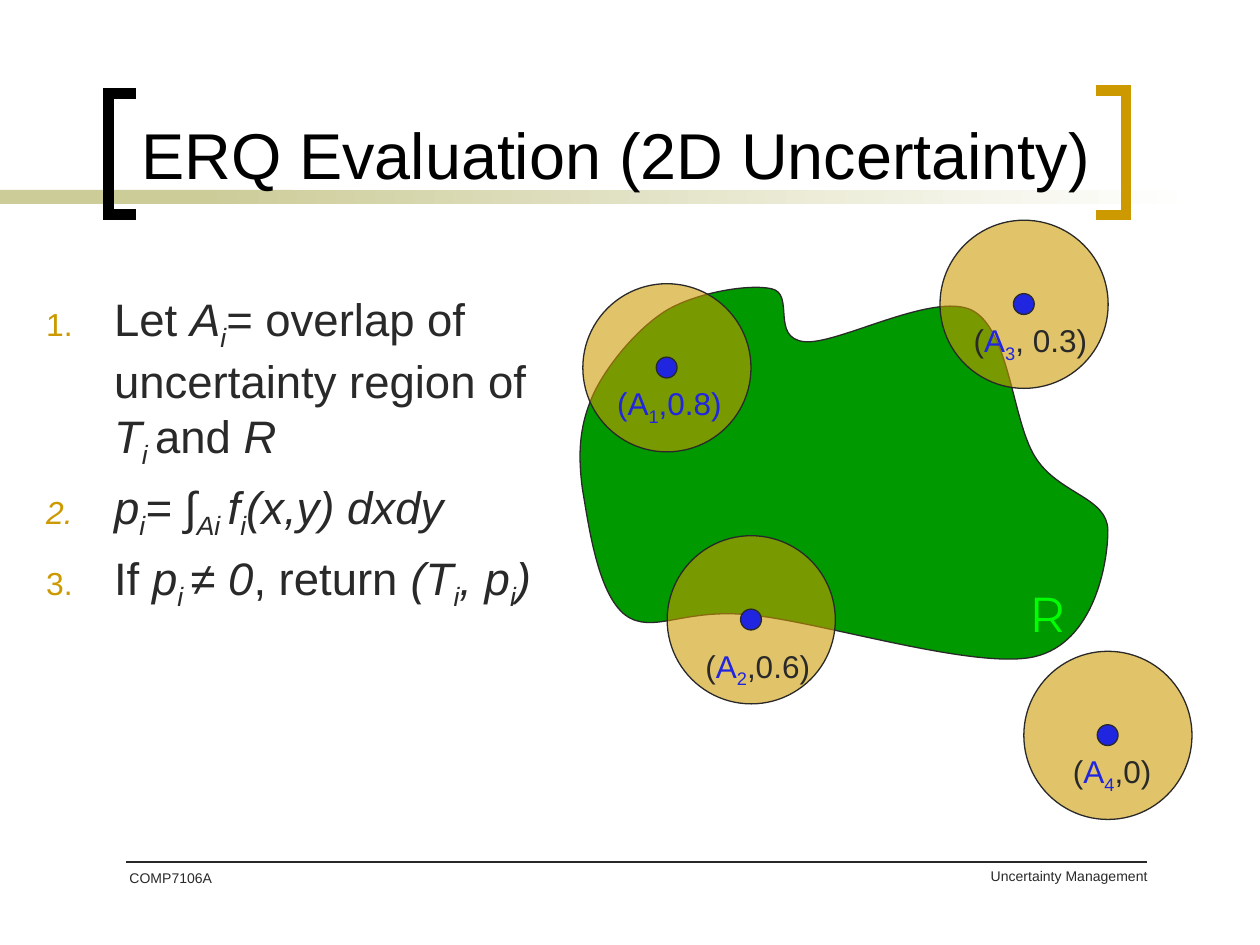
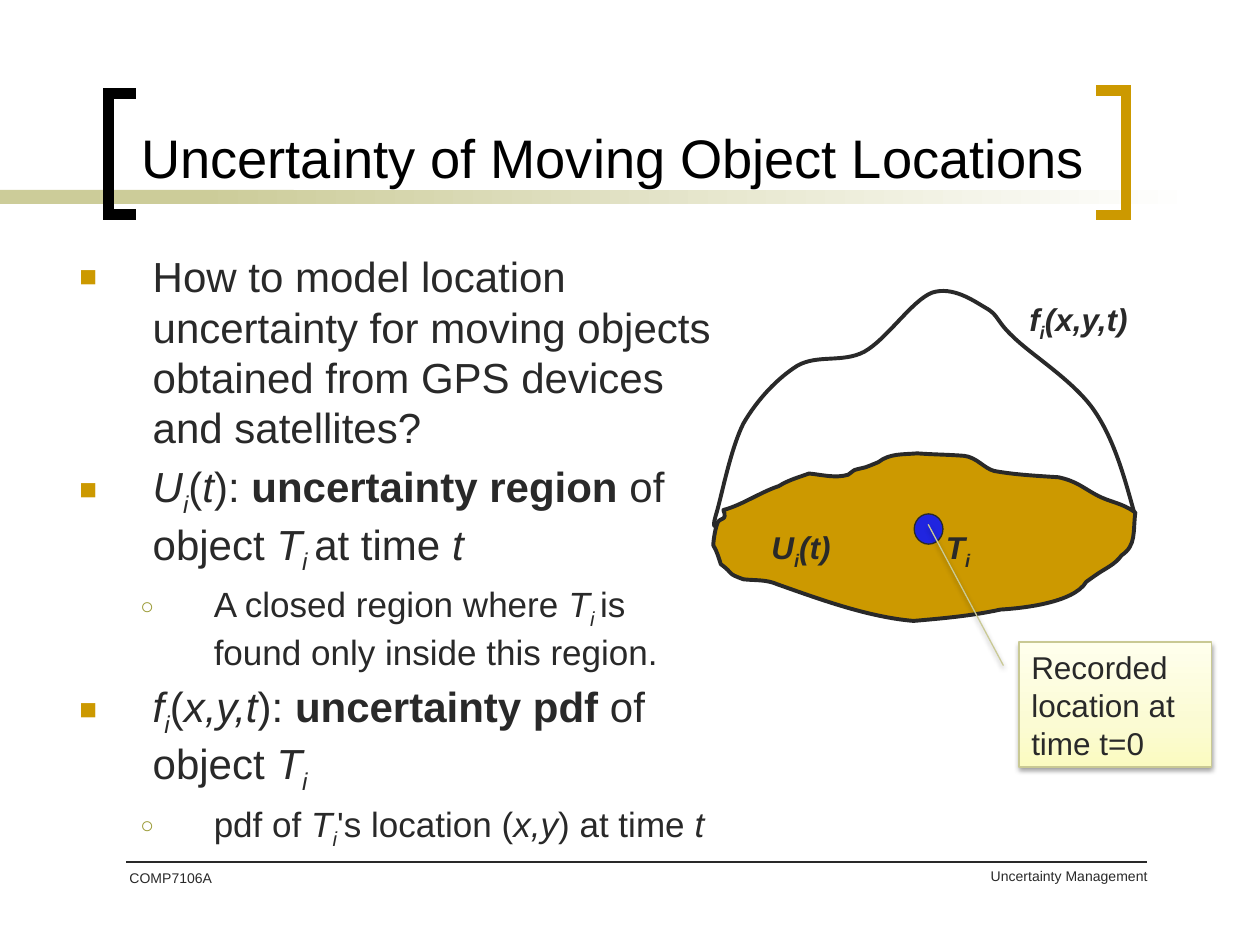
from lxml.etree import SubElement as Sub
from pptx import Presentation
from pptx.dml.color import RGBColor as Rgb
from pptx.enum.shapes import MSO_CONNECTOR as Link, MSO_SHAPE as Kind
from pptx.enum.text import MSO_ANCHOR as Anchor, MSO_AUTO_SIZE as Fit, PP_ALIGN as Align
from pptx.oxml.ns import qn
from pptx.util import Cm, Pt

HUES = {
    "ink": "292929", "black": "000000", "white": "FFFFFF", "gold": "CC9900",
    "sage": "CCCC99", "olive": "999933", "green": "009900", "lime": "00FF00",
    "blue": "2025E0", "rim": "C9C994", "cream": "FBFBC1", "pale": "FBFBD3",
    "ivory": "FFFFED",
}
UNIT = Cm(2.54) / 100
MARKS = {
    "1": ("gold", 70, "buAutoNum", {"type": "arabicPeriod"}),
    "■": ("gold", 70, "buChar", {"char": "■"}),
    "○": ("olive", 65, "buChar", {"char": "○"}),
}
STEPS = [
    ("1", 26, "Let |i~A|is~i|= overlap of uncertainty region of |i~T|is~i |and |i~R"),
    ("1", 26, "i~p|is~i|i~= ∫|is~Ai |i~f|is~i|i~(x,y) dxdy"),
    ("1", 26, "If |i~p|is~i |i~≠ 0|, return |i~(T|is~i|i~, p|is~i|i~)"),
]
POINTS = [
    ("■", 24, "How to model location uncertainty for moving objects obtained from GPS devices and satellites?"),
    ("■", 24, "i~U|is~i|(|i~t|): |b~uncertainty region |of object |i~T|is~i |at time |i~t"),
    ("○", 20, "A closed region where |i~T|is~i |is found only inside this region."),
    ("■", 24, "i~f|is~i|(|i~x,y,t|): |b~uncertainty pdf| of object |i~T|is~i"),
    ("○", 20, "pdf of |i~T|is~i|'s location (|i~x,y|) at time |i~t"),
]
DISCS = [
    (0.11, 0, 0.44, 1.9, 2.67, "u~(A|us~1|u~,0.8)"),
    (1.81, 5.08, 0.52, 2.11, 2.67, "(|u~A|us~2|,0.6)"),
    (7.31, -1.28, 0.43, 1.9, 2.84, "(|u~A|us~3|, 0.3)"),
    (9, 7.41, 0.74, 1.9, 2.13, "(|u~A|us~4|,0)"),
]
RANGE = [
    (13, 87), (24, 64), (48, 35), (71, 21), (95, 7), (136, 0), (154, 4),
    (173, 8), (153, 43), (180, 46), (206, 49), (282, 6), (313, 21),
    (343, 36), (345, 108), (363, 137), (381, 167), (421, 169), (421, 196),
    (421, 222), (410, 285), (363, 296), (316, 307), (192, 268), (138, 263),
    (84, 257), (60, 279), (38, 263), (16, 246), (9, 192), (4, 163),
    (0, 133), (2, 111), (13, 87),
]
BASE = [
    (8, 45), (23, 41), (37, 31), (52, 26), (60, 21), (68, 19), (76, 16),
    (86, 17), (97, 20), (107, 17), (114, 12), (109, 14), (121, 11),
    (124, 10), (131, 7), (131, 7), (140, 0), (150, 1), (162, 0),
    (175, 1), (187, 1), (199, 2), (209, 3), (215, 12), (223, 14),
    (239, 17), (259, 18), (274, 19), (288, 22), (293, 27), (304, 33),
    (315, 39), (324, 39), (335, 47), (333, 62), (336, 73), (324, 81),
    (319, 88), (312, 91), (306, 95), (303, 97), (296, 102), (296, 102),
    (286, 119), (244, 123), (228, 124), (205, 129), (182, 131), (159, 133),
    (123, 130), (85, 116), (51, 104), (42, 100), (33, 101), (24, 100),
    (10, 95), (17, 96), (6, 88), (4, 82), (3, 78), (0, 73),
    (0, 69), (2, 57), (4, 54), (6, 52), (9, 52), (9, 50),
    (10, 48), (8, 47), (8, 45),
]
DOME = [
    (4, 190), (2, 191), (0, 192), (4, 179), (8, 165), (15, 129), (25, 109),
    (36, 90), (52, 73), (68, 63), (84, 54), (104, 61), (121, 52),
    (139, 42), (159, 11), (175, 5), (191, 0), (207, 11), (217, 17),
    (228, 23), (225, 27), (239, 40), (253, 54), (287, 75), (303, 98),
    (319, 121), (327, 150), (335, 179),
]


def tint(hue):
    """Return the named colour."""
    return Rgb.from_string(HUES[hue])


def paint(shape, fill=None, line=None, width=0.75):
    """Set the fill and line of a shape and drop its shadow."""
    shape.shadow.inherit = False
    if fill:
        shape.fill.solid()
        shape.fill.fore_color.rgb = tint(fill)
    else:
        shape.fill.background()
    if line:
        shape.line.color.rgb = tint(line)
        shape.line.width = Pt(width)
    else:
        shape.line.fill.background()


def blend(shape, stops, angle):
    """Fill a shape with a linear gradient."""
    shape.fill.gradient()
    props = shape._element.spPr
    group = props.find(".//" + qn("a:gsLst"))
    group.clear()
    for place, hue in stops:
        stop = Sub(group, qn("a:gs"), pos=str(place * 1000))
        Sub(stop, qn("a:srgbClr"), val=HUES[hue])
    props.find(".//" + qn("a:lin")).set("ang", str(angle * 60000))


def form(slide, kind, x, y, w, h, **look):
    """Add a painted preset shape."""
    shape = slide.shapes.add_shape(kind, Cm(x), Cm(y), Cm(w), Cm(h))
    paint(shape, **look)
    return shape


def write(para, text, size, hue="ink", face="Arial"):
    """Write marked runs: i italic, b bold, s subscript, u blue."""
    para.font.size = Pt(size)
    para.font.name = face
    para.font.color.rgb = tint(hue)
    for part in text.split("|"):
        style, _, words = part.rpartition("~")
        run = para.add_run()
        run.text = words
        if "i" in style:
            run.font.italic = True
        if "b" in style:
            run.font.bold = True
        if "u" in style:
            run.font.color.rgb = tint("blue")
        if "s" in style:
            run._r.get_or_add_rPr().set("baseline", "-25000")


def label(slide, x, y, w, h, text, size, align=Align.LEFT, anchor=Anchor.TOP, **look):
    """Add a text box with one paragraph and return its frame."""
    frame = slide.shapes.add_textbox(Cm(x), Cm(y), Cm(w), Cm(h)).text_frame
    frame.word_wrap = True
    frame.vertical_anchor = anchor
    para = frame.paragraphs[0]
    para.alignment = align
    write(para, text, size, **look)
    return frame


def tag(slide, x, y, w, text):
    """Add a one-line label that grows with its text."""
    frame = label(slide, x, y, w, 1.02, text, 18)
    frame.word_wrap = False
    frame.auto_size = Fit.SHAPE_TO_FIT_TEXT


def listing(slide, x, y, w, h, items, indent, deep=0):
    """Add a text box of marked paragraphs."""
    frame = slide.shapes.add_textbox(Cm(x), Cm(y), Cm(w), Cm(h)).text_frame
    frame.word_wrap = True
    for num, (mark, size, text) in enumerate(items):
        para = frame.add_paragraph() if num else frame.paragraphs[0]
        para.space_before = Pt(size * 0.2)
        hue, scale, kind, attrs = MARKS[mark]
        props = para._p.get_or_add_pPr()
        props.set("marL", str(Cm(deep if mark == "○" else indent)))
        props.set("indent", str(-Cm(indent)))
        Sub(Sub(props, qn("a:buClr")), qn("a:srgbClr"), val=HUES[hue])
        Sub(props, qn("a:buSzPct"), val=str(scale * 1000))
        Sub(props, qn("a:buFont"), typeface="Arial")
        Sub(props, qn(f"a:{kind}"), **attrs)
        write(para, text, size)


def trace(slide, x, y, dots, closed, **look):
    """Draw a polyline through points given in EMU."""
    pen = slide.shapes.build_freeform(*dots[0])
    pen.add_line_segments(dots[1:], close=closed)
    shape = pen.convert_to_shape(Cm(x), Cm(y))
    paint(shape, **look)
    return shape


def curve(slide, x, y, knots, closed=True, **look):
    """Draw cubic curves by joining each three segments into one."""
    dots = [(a * UNIT, b * UNIT) for a, b in knots]
    shape = trace(slide, x, y, dots, closed, **look)
    route = shape._element.spPr.find(".//" + qn("a:path"))
    legs = route.findall(qn("a:lnTo"))
    for k in range(0, len(legs), 3):
        bend = Sub(route, qn("a:cubicBezTo"))
        legs[k].addprevious(bend)
        for leg in legs[k:k + 3]:
            bend.append(leg[0])
            route.remove(leg)


def bracket(slide, x, y, w, h, hue, left):
    """Draw one square bracket around the title."""
    tip, back = (w, 0) if left else (0, w)
    rise = [(tip, 0), (back, 0), (back, h), (tip, h)]
    dots = [(Cm(a), Cm(b)) for a, b in (rise[::-1] if left else rise)]
    shape = trace(slide, x, y, dots, False, line=hue, width=6)
    Sub(shape.line._get_or_add_ln(), qn("a:miter"), lim="800000")


def page(deck, title, size, top):
    """Add a slide with bands, brackets, title and footer."""
    slide = deck.slides.add_slide(deck.slide_layouts[6])
    form(slide, Kind.RECTANGLE, 0, 3.83, 5.92, 0.28, fill="sage")
    band = form(slide, Kind.RECTANGLE, 4.01, 3.83, 20.12, 0.28)
    blend(band, [(0, "sage"), (100, "white")], 0)
    bracket(slide, 2.19, 1.89, 0.55, 2.44, "black", True)
    bracket(slide, 22.1, 1.83, 0.6, 2.51, "gold", False)
    label(slide, 12.87, 17.37, 10.52, 1.27, "Uncertainty Management", 8, Align.RIGHT)
    rule = slide.shapes.add_connector(Link.STRAIGHT, Cm(2.54), Cm(17.37), Cm(23.12), Cm(17.37))
    rule.line.color.rgb = tint("ink")
    rule.line.width = Pt(1)
    Sub(rule._element.spPr, qn("a:effectLst"))
    label(slide, 2.6, top, 19.89, 3.94, title, size, anchor=Anchor.BOTTOM, hue="black")
    label(slide, 2.36, 17.4, 2.97, 1.27, "COMP7106A", 8)
    return slide


def disc(slide, x, y, dx, dy, w, text):
    """Draw an uncertainty circle with its centre and label."""
    ring = form(slide, Kind.OVAL, x, y, 3.39, 3.39, fill="gold", line="ink")
    shade = ring._element.spPr.find(qn("a:solidFill"))[0]
    Sub(shade, qn("a:alpha"), val="59000")
    form(slide, Kind.OVAL, x + 1.48, y + 1.48, 0.42, 0.42, fill="blue", line="ink")
    tag(slide, x + dx, y + dy, w, text)


def query(slide, x, y):
    """Draw the query range R with its four objects."""
    curve(slide, x, y, RANGE, fill="green", line="ink")
    frame = label(slide, x + 9.11, y + 5.91, 0.64, 0.97, "R", 28, Align.CENTER,
                  hue="lime", face="Montserrat")
    frame.word_wrap = False
    frame.margin_left = frame.margin_right = 0
    for dx, dy, *rest in DISCS:
        disc(slide, x + dx, y + dy, *rest)


def note(slide, x, y, w, h, text):
    """Add the shaded callout."""
    shape = form(slide, Kind.LINE_CALLOUT_1, x, y, w, h, line="rim")
    for num, value in enumerate((0.19, -0.08, -0.94, -0.47)):
        shape.adjustments[num] = value
    blend(shape, [(0, "cream"), (35, "pale"), (100, "ivory")], 270)
    effects = shape._element.spPr.find(qn("a:effectLst"))
    cast = Sub(effects, qn("a:outerShdw"), blurRad=str(Pt(3.1)), dist=str(Pt(1.6)),
               dir="5400000", rotWithShape="0")
    Sub(Sub(cast, qn("a:srgbClr"), val=HUES["black"]), qn("a:alpha"), val="38000")
    frame = shape.text_frame
    frame.word_wrap = True
    frame.vertical_anchor = Anchor.TOP
    frame.paragraphs[0].alignment = Align.LEFT
    write(frame.paragraphs[0], text, 18)


def mound(slide, x, y):
    """Draw the density dome over its uncertainty region."""
    curve(slide, x + 0.03, y + 3.37, BASE, fill="gold", line="ink", width=2.25)
    curve(slide, x, y, DOME, False, line="ink", width=2.25)
    form(slide, Kind.OVAL, x + 4.08, y + 4.59, 0.58, 0.61, fill="blue", line="ink")
    for dx, dy, w, text in (
        (6.15, 0.15, 2.54, "bi~f|bis~i|bi~(x,y,t)"),
        (4.47, 4.75, 1.17, "bi~T|bis~i"),
        (0.95, 4.75, 1.73, "bi~U|bis~i|bi~(t)"),
    ):
        tag(slide, x + dx, y + dy, w, text)
    note(slide, x + 6.19, y + 7.17, 3.89, 2.52, "Recorded location at time t=0")


def main():
    """Build both slides and save the deck."""
    deck = Presentation()
    deck.slide_width, deck.slide_height = Cm(25.4), Cm(19.05)
    slide = page(deck, "ERQ Evaluation (2D Uncertainty)", 37, 0.06)
    listing(slide, 0.68, 5.74, 11.1, 7.54, STEPS, 1.37)
    query(slide, 11.64, 5.72)
    slide = page(deck, "Uncertainty of Moving Object Locations", 31, 0.01)
    listing(slide, 1.35, 4.93, 13.31, 10.87, POINTS, 1.48, 2.71)
    mound(slide, 14.35, 5.77)
    deck.save("out.pptx")


if __name__ == "__main__":
    main()
